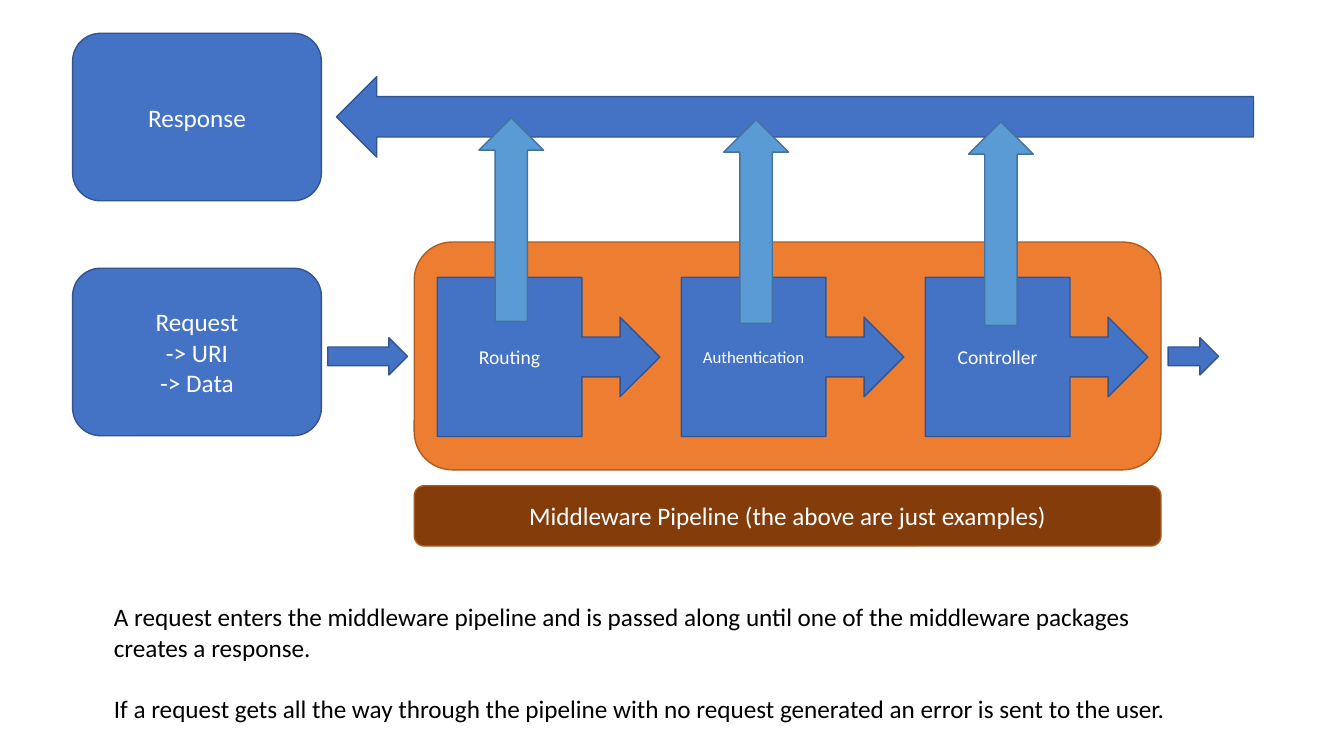
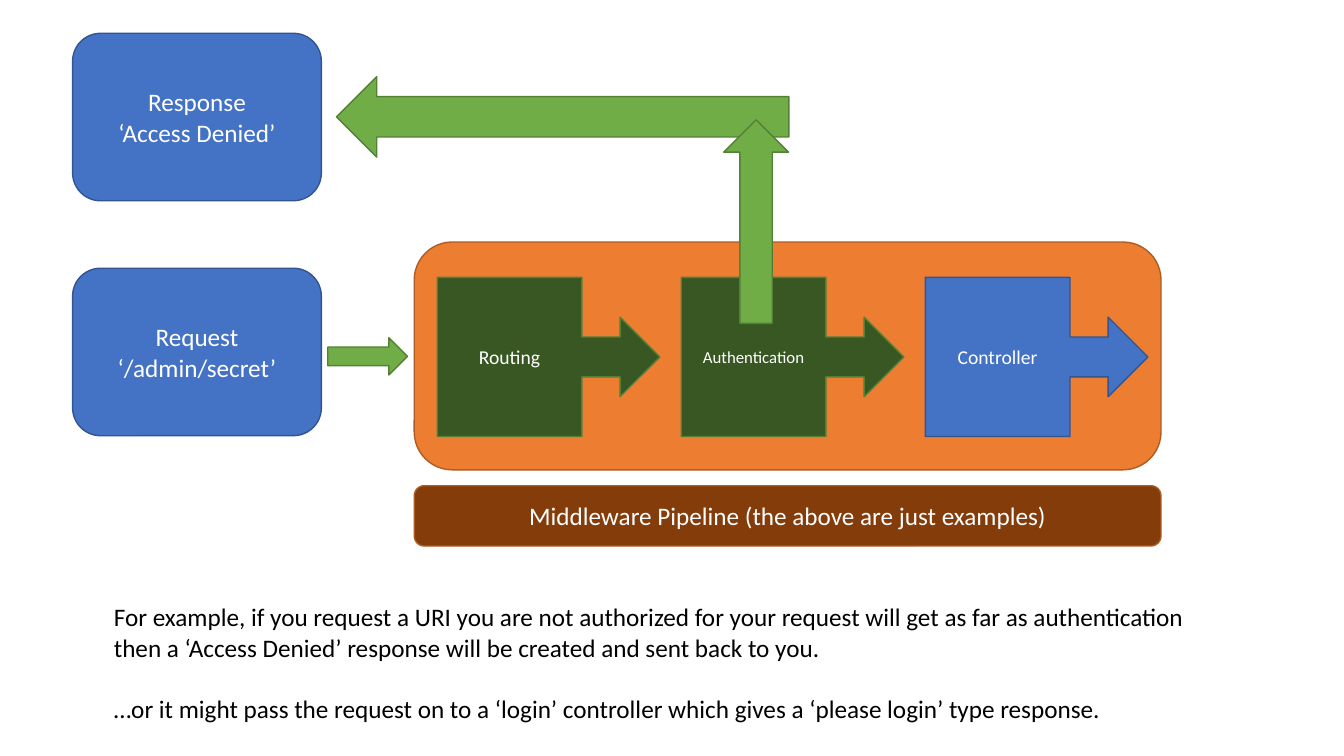
from pptx import Presentation
from pptx.dml.color import RGBColor
from pptx.enum.shapes import MSO_SHAPE
from pptx.enum.text import MSO_ANCHOR, MSO_AUTO_SIZE, PP_ALIGN
from pptx.util import Cm, Pt

COLORS = {
    "blue": "4472C4", "blue edge": "325491",
    "sky": "5B9BD5", "sky edge": "43739E",
    "green": "70AD47", "green edge": "538035",
    "forest": "385723", "forest edge": "538035",
    "orange": "ED7D31", "orange edge": "AF5C24",
    "brown": "843C0B", "brown edge": "AF5C24",
    "white": "FFFFFF", "black": "000000",
}
FONT = "Calibri"

# Shared geometry in centimetres
BOX_LEFT, BOX_WIDTH, BOX_HEIGHT = 1.83, 6.27, 4.22
PIPELINE_LEFT, PIPELINE_WIDTH = 10.44, 18.82
STAGE_LEFT, STAGE_STEP = 11.02, 6.15
REPLY_LEFT, REPLY_STEP = 12.07, 6.17
REPLY_TOP, REPLY_DROP = 2.97, 0.05
FLOW_TOP, FLOW_HEIGHT = 8.51, 0.94

STAGES = [("Routing", 14), ("Authentication", 12), ("Controller", 14)]

# What differs from slide to slide
SLIDES = [
    {
        "request": ["Request", "-> URI", "-> Data"],
        "response": ["Response"],
        "stage colors": ["blue", "blue", "blue"],
        "flow color": "blue",
        "return width": 23.11,
        "reply color": "sky",
        "replying stages": [0, 1, 2],
        "has exit": True,
        "explanation": [
            "A request enters the middleware pipeline and is passed along until "
            "one of the middleware packages creates a response.",
            "If a request gets all the way through the pipeline with no request "
            "generated an error is sent to the user.",
        ],
    },
    {
        "request": ["Request", "‘/admin/secret’"],
        "response": ["Response", "‘Access Denied’"],
        "stage colors": ["forest", "forest", "blue"],
        "flow color": "green",
        "return width": 11.4,
        "reply color": "green",
        "replying stages": [1],
        "has exit": False,
        "explanation": [
            "For example, if you request a URI you are not authorized for your "
            "request will get as far as authentication then a ‘Access Denied’ "
            "response will be created and sent back to you.",
            "…or it might pass the request on to a ‘login’ controller which "
            "gives a ‘please login’ type response.",
        ],
    },
]


def write_lines(frame, lines, size, color, align, gap=0):
    frame.word_wrap = True
    for index, line in enumerate(lines):
        paragraph = frame.add_paragraph() if index else frame.paragraphs[0]
        paragraph.alignment = align
        if index and gap:
            paragraph.space_before = Pt(gap)
        run = paragraph.add_run()
        run.text = line
        run.font.name = FONT
        run.font.size = Pt(size)
        run.font.color.rgb = RGBColor.from_string(COLORS[color])


def add_block(slide, preset, left, top, width, height, color, lines=(), size=18):
    block = slide.shapes.add_shape(preset, Cm(left), Cm(top), Cm(width), Cm(height))
    block.shadow.inherit = False
    block.fill.solid()
    block.fill.fore_color.rgb = RGBColor.from_string(COLORS[color])
    block.line.color.rgb = RGBColor.from_string(COLORS[color + " edge"])
    block.line.width = Pt(1)
    block.text_frame.vertical_anchor = MSO_ANCHOR.MIDDLE
    write_lines(block.text_frame, lines, size, "white", PP_ALIGN.CENTER)


prs = Presentation()
prs.slide_width, prs.slide_height = Cm(33.87), Cm(19.05)

for content in SLIDES:
    slide = prs.slides.add_slide(prs.slide_layouts[6])

    # Pipeline container and incoming request
    add_block(slide, MSO_SHAPE.ROUNDED_RECTANGLE, PIPELINE_LEFT, 6.1,
              PIPELINE_WIDTH, 5.74, "orange")
    add_block(slide, MSO_SHAPE.ROUNDED_RECTANGLE, BOX_LEFT, 6.76,
              BOX_WIDTH, BOX_HEIGHT, "blue", content["request"])

    # Middleware stages
    for index, (stage, size) in enumerate(STAGES):
        add_block(slide, MSO_SHAPE.RIGHT_ARROW_CALLOUT,
                  STAGE_LEFT + index * STAGE_STEP, 6.99, 5.61, 4.01,
                  content["stage colors"][index], [stage], size)

    # Arrow into the pipeline
    add_block(slide, MSO_SHAPE.RIGHT_ARROW, 8.26, FLOW_TOP, 2.01, FLOW_HEIGHT,
              content["flow color"])

    # Response and the arrow back to it
    add_block(slide, MSO_SHAPE.ROUNDED_RECTANGLE, BOX_LEFT, 0.84,
              BOX_WIDTH, BOX_HEIGHT, "blue", content["response"])
    add_block(slide, MSO_SHAPE.LEFT_ARROW, 8.48, 1.93,
              content["return width"], 2.03, content["flow color"])

    # Replies rising from the stages
    for index in content["replying stages"]:
        add_block(slide, MSO_SHAPE.UP_ARROW, REPLY_LEFT + index * REPLY_STEP,
                  REPLY_TOP + index * REPLY_DROP, 1.63, 5.13,
                  content["reply color"])

    # Arrow out of the pipeline
    if content["has exit"]:
        add_block(slide, MSO_SHAPE.RIGHT_ARROW, 29.44, FLOW_TOP, 1.27,
                  FLOW_HEIGHT, content["flow color"])

    # Pipeline caption
    add_block(slide, MSO_SHAPE.ROUNDED_RECTANGLE, PIPELINE_LEFT, 12.24,
              PIPELINE_WIDTH, 1.52, "brown",
              ["Middleware Pipeline (the above are just examples)"])

    # Explanation
    explanation = slide.shapes.add_textbox(Cm(2.62), Cm(15.04), Cm(27.66), Cm(3.33))
    write_lines(explanation.text_frame, content["explanation"], 18, "black",
                PP_ALIGN.LEFT, gap=22)
    explanation.text_frame.auto_size = MSO_AUTO_SIZE.SHAPE_TO_FIT_TEXT

prs.save("out.pptx")
